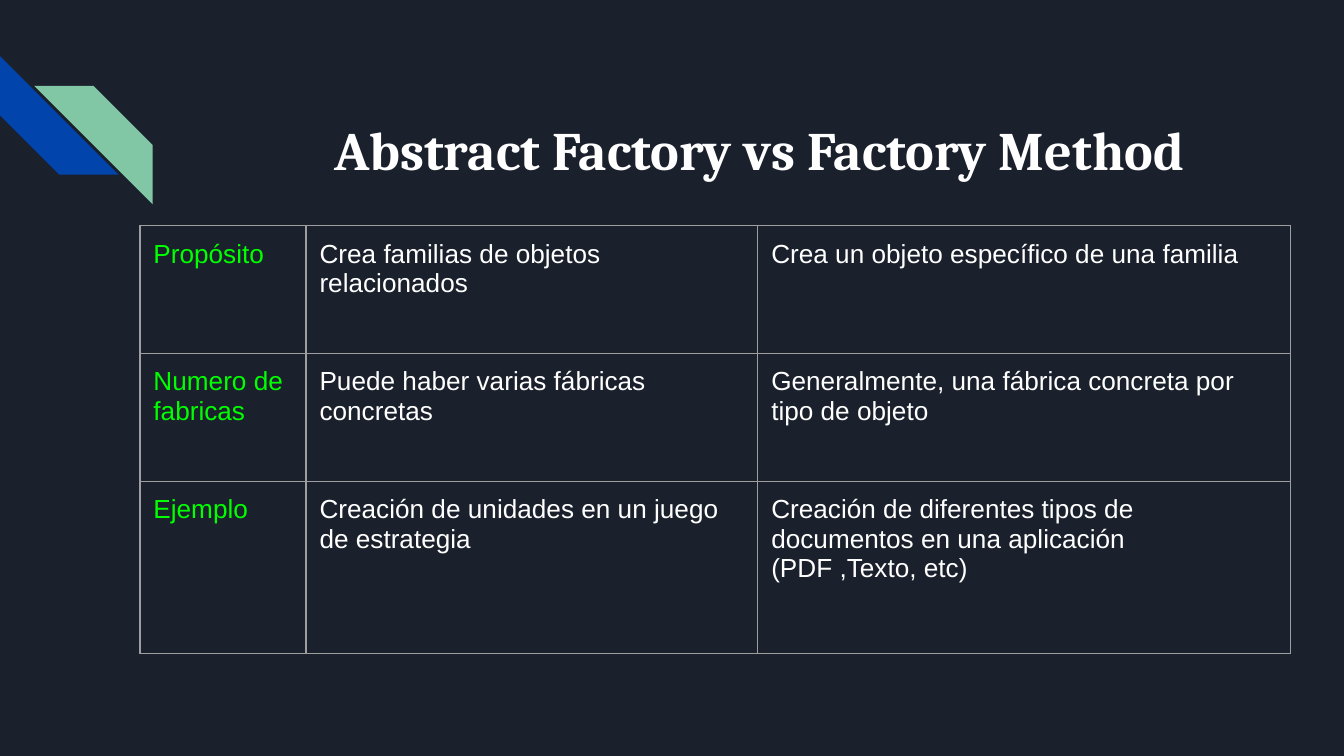
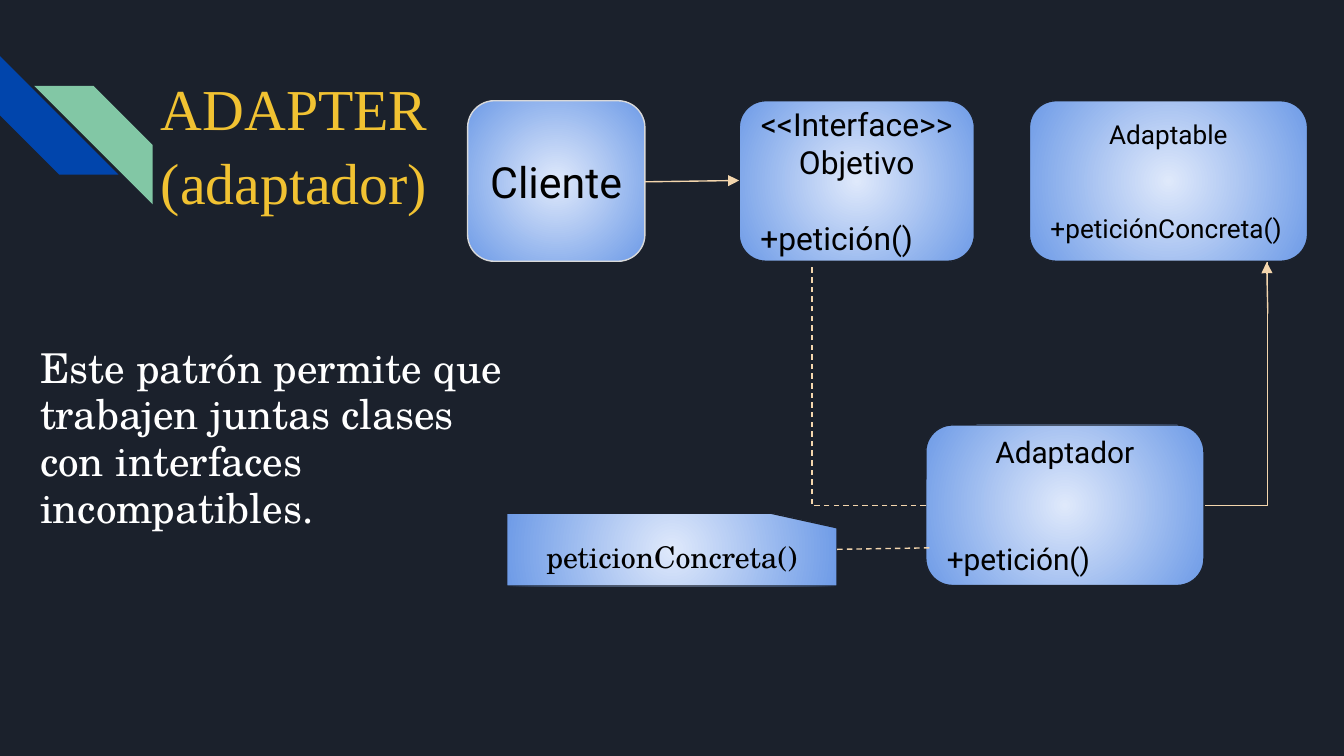
import pptx
import pptx.util
import pptx.dml.color
import pptx.enum.dml
import pptx.enum.shapes
import pptx.enum.text
import pptx.oxml.ns
import pptx.oxml.xmlchemy

Pt = pptx.util.Pt
qn = pptx.oxml.ns.qn
SHAPE = pptx.enum.shapes.MSO_SHAPE
CONNECTOR = pptx.enum.shapes.MSO_CONNECTOR
ALIGN = pptx.enum.text.PP_ALIGN
ANCHOR = pptx.enum.text.MSO_ANCHOR

NAVY, BLUE, MINT = "1B212C", "0145AC", "82C7A5"
WHITE, BLACK, GREEN, GOLD = "FFFFFF", "000000", "00FF00", "F1C232"
GREY, SILVER, SAND = "9E9E9E", "D9D9D9", "F4D6AD"
GLOW = ("DFE9FB", "6E9BE7")
THIN, INSET = 0.75, 7.2
BLANK_LINE = 1.2  # height of one skipped line, in font sizes
SIDES = ("left", "right", "top", "bottom")

# left, top, rotation, mirrored, colour
STRIPE_SIZE = 63.5
STRIPES = [(0, 30, 270, False, BLUE), (18.3, 46, 0, True, MINT)]

COMPARISON_TITLE = "Abstract Factory vs Factory Method"
COMPARISON = [
    ("Propósito", "Crea familias de objetos relacionados",
     "Crea un objeto específico de una familia"),
    ("Numero de fabricas", "Puede haber varias fábricas concretas",
     "Generalmente, una fábrica concreta por tipo de objeto"),
    ("Ejemplo", "Creación de unidades en un juego de estrategia",
     "Creación de diferentes tipos de documentos en una aplicación\n(PDF ,Texto, etc)"),
]
TABLE_LEFT, TABLE_TOP = 75, 121
COLUMN_WIDTHS = (89, 242, 285.5)
ROW_HEIGHTS = (68.5, 68.5, 92)

ADAPTER_TITLE = "ADAPTER (adaptador)"
ADAPTER_TEXT = ("Este patrón permite que trabajen juntas clases "
                "con interfaces incompatibles.")
# kind, box, outline, font, size, heading, method, lines skipped before the method
CLASSES = [
    (SHAPE.ROUNDED_RECTANGLE, (250.5, 54, 95, 86), SILVER, "Roboto", 23, "Cliente", None, 0),
    (SHAPE.ROUNDED_RECTANGLE, (396, 54, 126, 86), NAVY, "Roboto", 17,
     "<<Interface>>\vObjetivo", "+petición()", 1),
    (SHAPE.ROUNDED_RECTANGLE, (551.5, 54, 149, 86), NAVY, "Roboto", 14,
     "Adaptable", "+peticiónConcreta()", 2),
    (SHAPE.ROUNDED_RECTANGLE, (496, 227.7, 149, 86), NAVY, "Roboto", 16,
     "Adaptador", "+petición()", 2),
    (SHAPE.FLOWCHART_CARD, (271.5, 275, 177, 39), NAVY, "TeX Gyre Schola", 16,
     "peticionConcreta()", None, 0),
]
# start x, y, end x, y, bent, dashed, arrowhead
LINKS = [
    (345.6, 97.4, 396, 96.7, False, False, True),
    (645.6, 271, 679.2, 140.4, True, False, False),
    (679.2, 168, 678.6, 140.4, False, False, True),
    (496, 271, 435, 142.5, True, True, False),
    (448.5, 294.3, 498, 293.5, False, True, False),
]


def rgb(value):
    return pptx.dml.color.RGBColor.from_string(value)


def element(tag, **attrs):
    el = pptx.oxml.xmlchemy.OxmlElement(tag)
    for key, value in attrs.items():
        el.set(key, str(value))
    return el


def child(parent, tag, **attrs):
    el = element(tag, **attrs)
    parent.append(el)
    return el


def place(sp, *box):
    for name, value in zip(("left", "top", "width", "height"), box):
        setattr(sp, name, Pt(value))


def write(p, text, font, size, color, bold=False, **layout):
    p.text = text
    for name, value in layout.items():
        setattr(p, name, value)
    for r in p.runs:
        for name, value in dict(name=font, size=Pt(size), bold=bold).items():
            setattr(r.font, name, value)
        r.font.color.rgb = rgb(color)


def set_margins(target):
    for side in SIDES:
        setattr(target, f"margin_{side}", Pt(INSET))


def set_frame(tf, anchor):
    set_margins(tf)
    for name, value in dict(word_wrap=True, vertical_anchor=anchor,
                            auto_size=pptx.enum.text.MSO_AUTO_SIZE.NONE).items():
        setattr(tf, name, value)


def mirror(sp):
    sp.element.spPr.find(qn("a:xfrm")).set("flipH", "1")


def add_plain_shape(s, kind, box):
    sp = s.shapes.add_shape(kind, *map(Pt, box))
    sp.shadow.inherit = False
    return sp


def add_slide(prs, title, box, **fmt):
    s = prs.slides.add_slide(prs.slide_layouts[5])
    place(s.shapes.title, *box)
    tf = s.shapes.title.text_frame
    set_frame(tf, ANCHOR.TOP)
    write(tf.paragraphs[0], title, **fmt)
    return s


def decorate_master(prs, s):
    """Set the background and move the corner stripes from s to the master."""
    fill = prs.slide_master.background.fill
    fill.solid()
    fill.fore_color.rgb = rgb(NAVY)
    for i, (x, y, rotation, mirrored, color) in enumerate(STRIPES):
        sp = add_plain_shape(s, SHAPE.DIAGONAL_STRIPE, (x, y, STRIPE_SIZE, STRIPE_SIZE))
        sp.fill.solid()
        sp.fill.fore_color.rgb = rgb(color)
        sp.line.fill.background()
        sp.rotation = rotation
        if mirrored:
            mirror(sp)
        prs.slide_master.shapes.element.insert(2 + i, sp.element)


def set_borders(cell):
    tcPr = cell._tc.get_or_add_tcPr()
    for i, side in enumerate(("a:lnL", "a:lnR", "a:lnT", "a:lnB")):
        ln = element(side, w=Pt(THIN))
        child(child(ln, "a:solidFill"), "a:srgbClr", val=GREY)
        tcPr.insert(i, ln)


def add_comparison_table(s):
    frame = s.shapes.add_table(len(ROW_HEIGHTS), len(COLUMN_WIDTHS), Pt(TABLE_LEFT),
                               Pt(TABLE_TOP), Pt(sum(COLUMN_WIDTHS)), Pt(sum(ROW_HEIGHTS)))
    table = frame.table
    table.first_row = table.horz_banding = False
    for column, width in zip(table.columns, COLUMN_WIDTHS):
        column.width = Pt(width)
    for row, height, texts in zip(table.rows, ROW_HEIGHTS, COMPARISON):
        row.height = Pt(height)
        for i, (cell, text) in enumerate(zip(row.cells, texts)):
            cell.fill.background()
            set_borders(cell)
            set_margins(cell)
            cell.text = text
            for p in cell.text_frame.paragraphs:
                write(p, p.text, "Arial", 14, WHITE if i else GREEN)


def fill_glow(sp):
    """Fill with a gradient that spreads from the centre."""
    sp.fill.gradient()
    for stop, color in zip(sp.fill.gradient_stops, GLOW):
        stop.color.rgb = rgb(color)
    grad = sp.element.spPr.find(qn("a:gradFill"))
    grad.remove(grad.find(qn("a:lin")))
    circle = child(grad, "a:path", path="circle")
    child(circle, "a:fillToRect", **dict.fromkeys("ltrb", 50000))


def add_class(s, kind, box, outline, font, size, heading, method, skipped):
    sp = add_plain_shape(s, kind, box)
    fill_glow(sp)
    sp.line.color.rgb = rgb(outline)
    sp.line.width = Pt(THIN)
    if kind == SHAPE.FLOWCHART_CARD:
        mirror(sp)
    tf = sp.text_frame
    set_frame(tf, ANCHOR.MIDDLE)
    write(tf.paragraphs[0], heading, font, size, BLACK, alignment=ALIGN.CENTER)
    if method:
        write(tf.add_paragraph(), method, font, size, BLACK, alignment=ALIGN.LEFT,
              space_before=Pt(skipped * BLANK_LINE * size))


def add_link(s, x1, y1, x2, y2, bent, dashed, arrow):
    kind = CONNECTOR.ELBOW if bent else CONNECTOR.STRAIGHT
    link = s.shapes.add_connector(kind, Pt(x1), Pt(y1), Pt(x2), Pt(y2))
    spPr = link._element.spPr
    if bent:
        spPr.find(qn("a:prstGeom")).set("prst", "bentConnector2")
    link.line.color.rgb = rgb(SAND)
    link.line.width = Pt(THIN)
    if dashed:
        link.line.dash_style = pptx.enum.dml.MSO_LINE.DASH
    if arrow:
        child(spPr.find(qn("a:ln")), "a:tailEnd", type="triangle")
    child(spPr, "a:effectLst")


def main():
    prs = pptx.Presentation()
    prs.slide_width, prs.slide_height = Pt(720), Pt(405)

    s = add_slide(prs, COMPARISON_TITLE, (130, 55, 554, 72), font="Cambria", size=29,
                  color=WHITE, bold=True, alignment=ALIGN.CENTER)
    decorate_master(prs, s)
    add_comparison_table(s)

    s = add_slide(prs, ADAPTER_TITLE, (79, 29, 197, 96), font="Times New Roman", size=31,
                  color=GOLD, alignment=ALIGN.LEFT, line_spacing=1.07)
    tf = s.shapes.add_textbox(Pt(14.4), Pt(178), Pt(268), Pt(166)).text_frame
    set_frame(tf, ANCHOR.TOP)
    write(tf.paragraphs[0], ADAPTER_TEXT, "TeX Gyre Schola", 22, WHITE, line_spacing=0.95)
    for item in CLASSES:
        add_class(s, *item)
    for link in LINKS:
        add_link(s, *link)

    prs.save("out.pptx")


if __name__ == "__main__":
    main()
